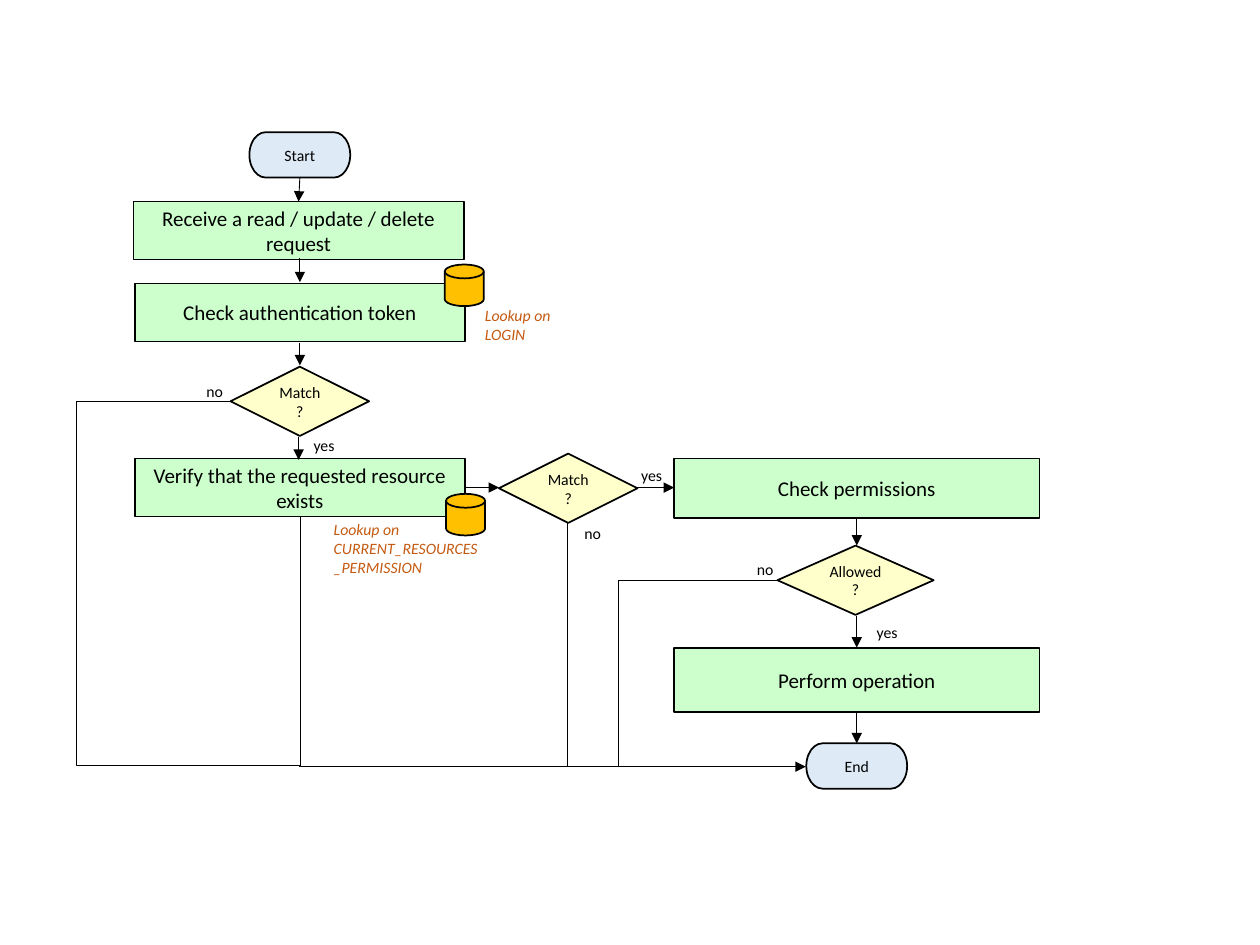
import pptx
import pptx.dml.color
import pptx.enum.shapes
import pptx.enum.text
import pptx.oxml.ns
import pptx.util
from lxml import etree
from pptx.util import Inches

COLORS = {
    "ink": "000000",
    "terminal": "DEEBF7",
    "step": "CCFFCC",
    "decision": "FFFFCC",
    "store": "FFC000",
    "lookup": "C55A11",
}
SHAPES = pptx.enum.shapes.MSO_SHAPE
ALIGN = pptx.enum.text.PP_ALIGN
CONNECTORS = pptx.enum.shapes.MSO_CONNECTOR


def rgb(name):
    return pptx.dml.color.RGBColor.from_string(COLORS[name])


def add_child(parent, tag, **attributes):
    child = etree.SubElement(parent, pptx.oxml.ns.qn(tag))
    for key, value in attributes.items():
        child.set(key, value)
    return child


def write(frame, text, size=9, color="ink", italic=False, align=ALIGN.LEFT):
    paragraph = frame.paragraphs[0]
    paragraph.alignment = align
    run = paragraph.add_run()
    run.text = text
    run.font.name = "Calibri"
    run.font.size = pptx.util.Pt(size)
    run.font.italic = italic
    run.font.color.rgb = rgb(color)


def add_node(slide, kind, fill, left, top, width, height, text="", size=9):
    node = slide.shapes.add_shape(
        kind, Inches(left), Inches(top), Inches(width), Inches(height))
    node.shadow.inherit = False
    node.fill.solid()
    node.fill.fore_color.rgb = rgb(fill)
    node.line.color.rgb = rgb("ink")
    node.line.width = pptx.util.Pt(1)
    if text:
        node.text_frame.word_wrap = True
        node.text_frame.vertical_anchor = pptx.enum.text.MSO_ANCHOR.MIDDLE
        write(node.text_frame, text, size=size, align=ALIGN.CENTER)


def add_terminal(slide, left, top, text):
    add_node(slide, SHAPES.FLOWCHART_TERMINATOR, "terminal", left, top, 0.8, 0.36, text)


def add_step(slide, left, top, width, height, text):
    add_node(slide, SHAPES.FLOWCHART_PROCESS, "step", left, top, width, height, text, size=12)


def add_decision(slide, left, top, width, text):
    add_node(slide, SHAPES.FLOWCHART_DECISION, "decision", left, top, width, 0.55, text)


def add_label(slide, left, top, width, height, text, wrap=False, **text_format):
    label = slide.shapes.add_textbox(
        Inches(left), Inches(top), Inches(width), Inches(height))
    label.text_frame.word_wrap = wrap
    label.text_frame.auto_size = pptx.enum.text.MSO_AUTO_SIZE.SHAPE_TO_FIT_TEXT
    write(label.text_frame, text, **text_format)


def add_link(slide, start, end, arrow=True, kind=CONNECTORS.STRAIGHT):
    link = slide.shapes.add_connector(kind, *map(Inches, start + end))
    link.line.color.rgb = rgb("ink")
    link.line.width = pptx.util.Pt(0.5)
    if arrow:
        add_child(link.line._get_or_add_ln(), "a:tailEnd", type="triangle")
    add_child(link._element.spPr, "a:effectLst")
    return link


def add_bent_link(slide, left, top, width, height, turn, flip, preset,
                  arrow=False, adjustments=()):
    """Add an elbow connector, given its frame before it is turned and flipped."""
    link = add_link(slide, (left, top), (left + width, top + height),
                    arrow, CONNECTORS.ELBOW)
    properties = link._element.spPr
    frame = properties.find(pptx.oxml.ns.qn("a:xfrm"))
    frame.set("rot", str(turn * 60000))
    frame.set(flip, "1")
    geometry = properties.find(pptx.oxml.ns.qn("a:prstGeom"))
    geometry.set("prst", preset)
    guides = geometry.find(pptx.oxml.ns.qn("a:avLst"))
    for number, value in enumerate(adjustments, 1):
        add_child(guides, "a:gd", name=f"adj{number}", fmla=f"val {value}")


def main():
    deck = pptx.Presentation()
    deck.slide_width, deck.slide_height = Inches(10), Inches(7.5)
    slide = deck.slides.add_slide(deck.slide_layouts[6])

    add_terminal(slide, 1.98, 1.05, "Start")
    add_terminal(slide, 6.4, 5.9, "End")

    for left, top, width, height, text in [
        (1.06, 1.6, 2.62, 0.46, "Receive a read / update / delete request"),
        (1.07, 2.25, 2.62, 0.46, "Check authentication token"),
        (1.07, 3.64, 2.62, 0.46, "Verify that the requested resource exists"),
        (5.35, 3.64, 2.9, 0.47, "Check permissions"),
        (5.35, 5.14, 2.9, 0.51, "Perform operation"),
    ]:
        add_step(slide, left, top, width, height, text)

    add_decision(slide, 1.83, 2.91, 1.1, "Match?")
    add_decision(slide, 3.96, 3.6, 1.1, "Match?")
    add_decision(slide, 6.17, 4.33, 1.24, "Allowed?")

    for start, end in [
        ((2.38, 1.41), (2.37, 1.6)),
        ((2.38, 2.05), (2.38, 2.24)),
        ((2.38, 2.72), (2.38, 2.9)),
        ((2.37, 3.47), (2.37, 3.65)),
        ((3.69, 3.87), (3.96, 3.87)),
        ((5.05, 3.87), (5.35, 3.87)),
        ((6.8, 4.11), (6.8, 4.33)),
        ((6.8, 4.89), (6.8, 5.14)),
        ((6.8, 5.65), (6.8, 5.9)),
    ]:
        add_link(slide, start, end)

    add_link(slide, (4.5, 4.15), (4.5, 6.08), arrow=False)
    add_bent_link(slide, 3.4, 3.09, 1.98, 4.01, 270, "flipH", "bentConnector2", arrow=True)
    add_bent_link(slide, 4.91, 4.61, 1.27, 1.47, 180, "flipV", "bentConnector2")
    add_bent_link(slide, 0.65, 4.36, 2.9, 0.55, 270, "flipV", "bentConnector4",
                  adjustments=(200, 321300))

    for left, top in [(3.53, 2.1), (3.54, 3.92)]:
        add_node(slide, SHAPES.FLOWCHART_MAGNETIC_DISK, "store", left, top, 0.31, 0.33)

    for left, top, width, height, text in [
        (3.75, 2.38, 0.75, 0.4, "Lookup on LOGIN"),
        (2.55, 4.08, 1.38, 0.56, "Lookup on CURRENT_RESOURCES_PERMISSION"),
    ]:
        add_label(slide, left, top, width, height, text,
                  wrap=True, color="lookup", italic=True)

    for left, top in [(2.39, 3.41), (4.99, 3.65), (6.86, 4.89)]:
        add_label(slide, left, top, 0.37, 0.25, "yes")
    for left, top in [(1.54, 2.98), (4.54, 4.11), (5.91, 4.39)]:
        add_label(slide, left, top, 0.34, 0.25, "no")

    deck.save("out.pptx")


if __name__ == "__main__":
    main()
